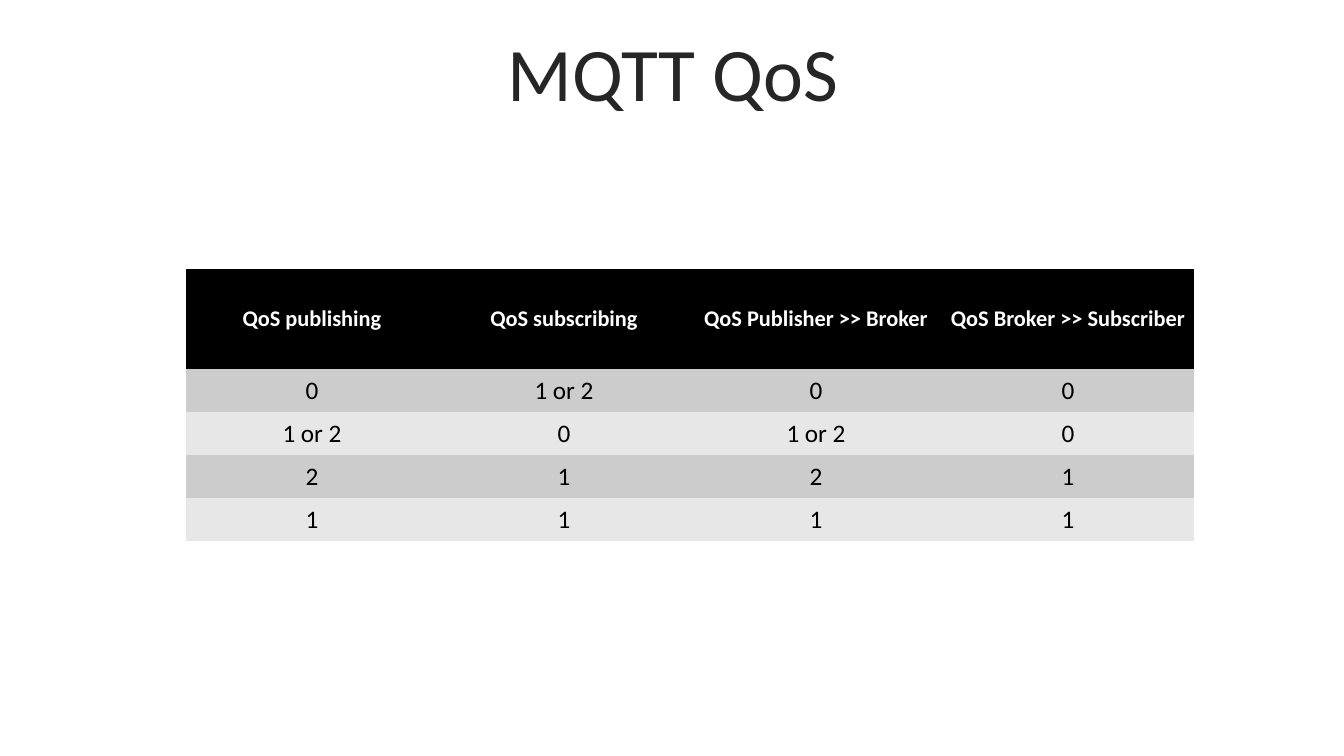
from pptx import Presentation
from pptx import util as u
from pptx.dml.color import RGBColor
from pptx.enum import text
from pptx.oxml.ns import qn

EMU_PER_PX = 914400 / 100.8
FONT = "Calibri"
PLAIN_STYLE = "{2D5ABB26-0587-4C30-8999-92F81FD0307C}"

HEADER = {"size": u.Pt(16), "bold": True}
BODY = {"size": u.Pt(18), "bold": False}
TITLE = {"size": u.Pt(54), "bold": False}

COLUMN_WIDTH, HEADER_HEIGHT, LEVEL_HEIGHT = 252, 100, 43
QOS_LEVELS = [
    ["QoS publishing", "QoS subscribing", "QoS Publisher >> Broker", "QoS Broker >> Subscriber"],
    ["0", "1 or 2", "0", "0"],
    ["1 or 2", "0", "1 or 2", "0"],
    ["2", "1", "2", "1"],
    ["1", "1", "1", "1"],
]


def px(length):
    return u.Emu(round(length * EMU_PER_PX))


def colour(value):
    return RGBColor.from_string(value)


def write(frame, words, ink, font_format):
    """Put one centred paragraph in a text frame and return it."""
    paragraph = frame.paragraphs[0]
    paragraph.text = words
    paragraph.alignment = text.PP_ALIGN.CENTER
    font = paragraph.runs[0].font
    font.color.rgb = colour(ink)
    for key, value in {"name": FONT, **font_format}.items():
        setattr(font, key, value)
    return paragraph


def add_title(slide, words, left, top, width, height):
    frame = slide.shapes.add_textbox(px(left), px(top), px(width), px(height)).text_frame
    frame.word_wrap = True
    frame.vertical_anchor = text.MSO_ANCHOR.MIDDLE
    write(frame, words, "262626", TITLE).line_spacing = 0.9


def fill_cell(cell, words, shade, ink, font_format):
    cell.fill.solid()
    cell.fill.fore_color.rgb = colour(shade)
    cell.vertical_anchor = text.MSO_ANCHOR.MIDDLE
    for side in ("left", "right", "top", "bottom"):
        setattr(cell, f"margin_{side}", px(5))
    write(cell.text_frame, words, ink, font_format)


def add_qos_table(slide, levels, left, top):
    """Add a borderless table with a black header and two alternating greys."""
    heights = [HEADER_HEIGHT] + [LEVEL_HEIGHT] * (len(levels) - 1)
    count = len(levels[0])
    table = slide.shapes.add_table(
        len(levels), count, px(left), px(top), px(COLUMN_WIDTH * count), px(sum(heights))
    ).table
    table.horz_banding = False
    table._tbl.tblPr.find(qn("a:tableStyleId")).text = PLAIN_STYLE
    for column in table.columns:
        column.width = px(COLUMN_WIDTH)
    for index, (row, height, level) in enumerate(zip(table.rows, heights, levels)):
        row.height = px(height)
        if index == 0:
            look = ("000000", "FFFFFF", HEADER)
        else:
            look = ("CCCCCC" if index % 2 else "E7E7E7", "000000", BODY)
        for cell, words in zip(row.cells, level):
            fill_cell(cell, words, *look)


def main():
    deck = Presentation()
    deck.slide_width, deck.slide_height = px(1344), px(756)
    slide = deck.slides.add_slide(deck.slide_layouts[6])
    add_title(slide, "MQTT QoS", 35, 37, 1276, 80)
    add_qos_table(slide, QOS_LEVELS, 186, 269)
    deck.save("out.pptx")


if __name__ == "__main__":
    main()
